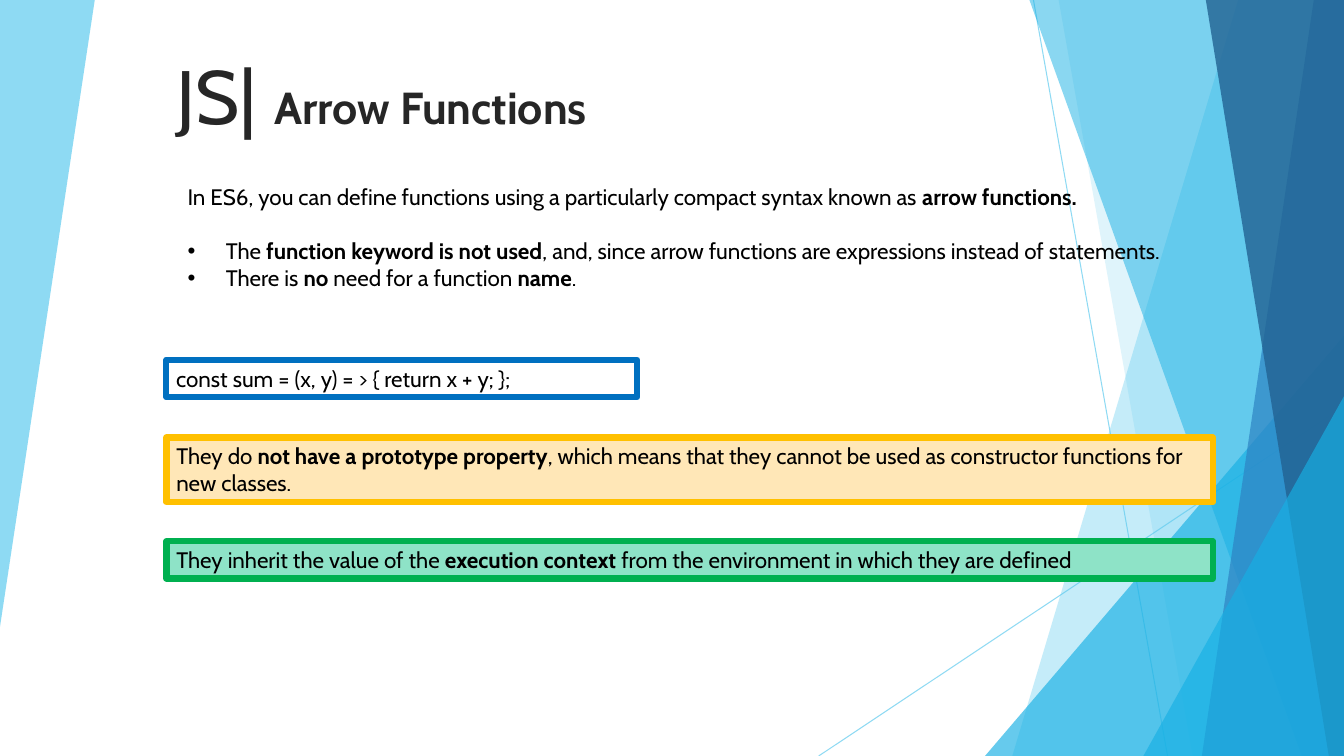
"""Build the slide on JavaScript arrow functions."""
from lxml import etree
from pptx import Presentation
from pptx.dml.color import RGBColor
from pptx.enum.shapes import MSO_CONNECTOR, MSO_SHAPE
from pptx.enum.text import MSO_ANCHOR, MSO_AUTO_SIZE, PP_ALIGN
from pptx.oxml.ns import qn
from pptx.util import Inches, Pt

RECT, TRI = MSO_SHAPE.RECTANGLE, MSO_SHAPE.ISOSCELES_TRIANGLE
LINE = MSO_CONNECTOR.STRAIGHT
TOP, BOTTOM = MSO_ANCHOR.TOP, MSO_ANCHOR.BOTTOM
LEFT, FIXED = PP_ALIGN.LEFT, MSO_AUTO_SIZE.NONE

FONT = "Cabin"
WIDE, HIGH = 13.33, 7.5
COLORS = {
    "sky": "5FCBEF", "cyan": "17B0E4", "blue": "2E83C3", "navy": "226292",
    "ink": "262626", "black": "000000", "code": "0070C0",
    "gold": "FFC000", "cream": "FFE7B7", "green": "00B050", "mint": "8EE3C7",
}

RAYS = [((10.25, 0), (11.58, HIGH)), ((WIDE, 4.03), (8.12, HIGH))]
WEDGE = ("sky", 70, [(0, 0), (0.94, 0), (0, 6.22)])
FACETS = [
    ("sky", 36, 12.28, 10.04),
    ("sky", 20, 10.5, 11.83),
    ("cyan", 66, 9.77, 3.33),
    ("cyan", 50, 10.21, 12.91),
    ("blue", 70, 13.03, 11.92),
    ("navy", 80, 11.96, 13.18),
    ("cyan", 66, 11.34, 3.93),
]
PEAKS = (2, 6)

TITLE = [[("JS| ", False, 54), ("Arrow Functions", True, 32)]]
BODY = [
    [("In ES6, you can define functions using a particularly compact syntax known as ", False),
     ("arrow functions.", True)],
    [("The ", False), ("function keyword is not used", True),
     (", and, since arrow functions are expressions instead of statements.", False)],
    [("There is ", False), ("no", True), (" need for a function ", False),
     ("name", True), (".", False)],
]
BOXES = [
    (3.57, 4.67, 0.37, None, "code",
     [("const sum = (x, y) = > { return x + y; };", False)]),
    (4.34, 10.38, 0.64, "cream", "gold",
     [("They do ", False), ("not have a prototype property", True),
      (", which means that they cannot be used as constructor functions for new classes.", False)]),
    (5.37, 10.38, 0.37, "mint", "green",
     [("They inherit the value of the ", False), ("execution context ", True),
      ("from the environment in which they are defined", False)]),
]


def rgb(name):
    """Return the named colour."""
    return RGBColor.from_string(COLORS[name])


def fade(shape, alpha):
    """Make the colours of a shape partly clear."""
    for tag in shape.element.spPr.iter(qn("a:srgbClr")):
        etree.SubElement(tag, qn("a:alpha"), val=str(alpha * 1000))


def paint(shape, color, alpha):
    """Fill a shape without outline."""
    shape.shadow.inherit = False
    shape.fill.solid()
    shape.fill.fore_color.rgb = rgb(color)
    shape.line.fill.background()
    fade(shape, alpha)


def area(shapes, points):
    """Draw a closed outline through the points."""
    spots = [(Inches(x), Inches(y)) for x, y in points]
    form = shapes.build_freeform(*spots[0])
    form.add_line_segments(spots[1:], close=True)
    return form.convert_to_shape()


def place(shape, left, top, width, height):
    """Set the frame of a shape in inches."""
    shape.left, shape.top = Inches(left), Inches(top)
    shape.width, shape.height = Inches(width), Inches(height)


def write(shape, paras, size=16, color="black", anchor=TOP, marks=None):
    """Write paragraphs of runs; marks tells which ones have bullets."""
    frame = shape.text_frame
    frame.word_wrap, frame.auto_size = True, FIXED
    frame.vertical_anchor = anchor
    for i, runs in enumerate(paras):
        para = frame.paragraphs[0] if i == 0 else frame.add_paragraph()
        para.alignment = LEFT
        para.space_before = Pt(0)
        if marks:
            props = para._p.get_or_add_pPr()
            indent = Inches(0.38) if marks[i] else 0
            props.set("marL", str(indent))
            props.set("indent", str(-indent))
            if marks[i]:
                etree.SubElement(props, qn("a:buFont"), typeface="Arial")
                etree.SubElement(props, qn("a:buChar"), char="•")
            else:
                etree.SubElement(props, qn("a:buNone"))
        for text, bold, *own in runs:
            run = para.add_run()
            run.text = text
            font = run.font
            font.name, font.bold = FONT, bold
            font.size = Pt(own[0] if own else size)
            font.color.rgb = rgb(color)


def adorn(shapes):
    """Draw the facets at both edges."""
    color, alpha, points = WEDGE
    paint(area(shapes, points), color, alpha)
    for start, end in RAYS:
        ray = shapes.add_connector(LINE, *map(Inches, start + end))
        ray.line.color.rgb = rgb("sky")
        ray.line.width = Pt(0.75)
        fade(ray, 70)
        etree.SubElement(ray.element.spPr, qn("a:effectLst"))
    for i, (color, alpha, a, b) in enumerate(FACETS):
        if i in PEAKS:
            frame = (a, b, WIDE - a, HIGH - b)
            facet = shapes.add_shape(TRI, *map(Inches, frame))
            facet.adjustments[0] = 1
        else:
            facet = area(shapes, [(a, 0), (WIDE, 0), (WIDE, HIGH), (b, HIGH)])
        paint(facet, color, alpha)


def main():
    """Build and save the slide."""
    deck = Presentation()
    deck.slide_width, deck.slide_height = Inches(WIDE), Inches(HIGH)
    slide = deck.slides.add_slide(deck.slide_layouts[1])
    shapes = slide.shapes
    title, body = slide.placeholders
    adorn(shapes)
    for holder in (title, body):
        shapes.element.append(holder.element)

    place(title, 1.65, 0.38, 8.49, 1.06)
    write(title, TITLE, color="ink", anchor=BOTTOM)
    place(body, 1.76, 1.77, 10.27, 1.72)
    write(body, BODY, marks=(False, True, True))
    body.text_frame.paragraphs[1].space_before = Pt(19.4)

    for top, width, height, fill, edge, runs in BOXES:
        box = shapes.add_shape(RECT, *map(Inches, (1.65, top, width, height)))
        box.shadow.inherit = False
        if fill:
            box.fill.solid()
            box.fill.fore_color.rgb = rgb(fill)
        else:
            box.fill.background()
        box.line.color.rgb = rgb(edge)
        box.line.width = Pt(4.5)
        write(box, [runs])
    deck.save("out.pptx")


if __name__ == "__main__":
    main()
